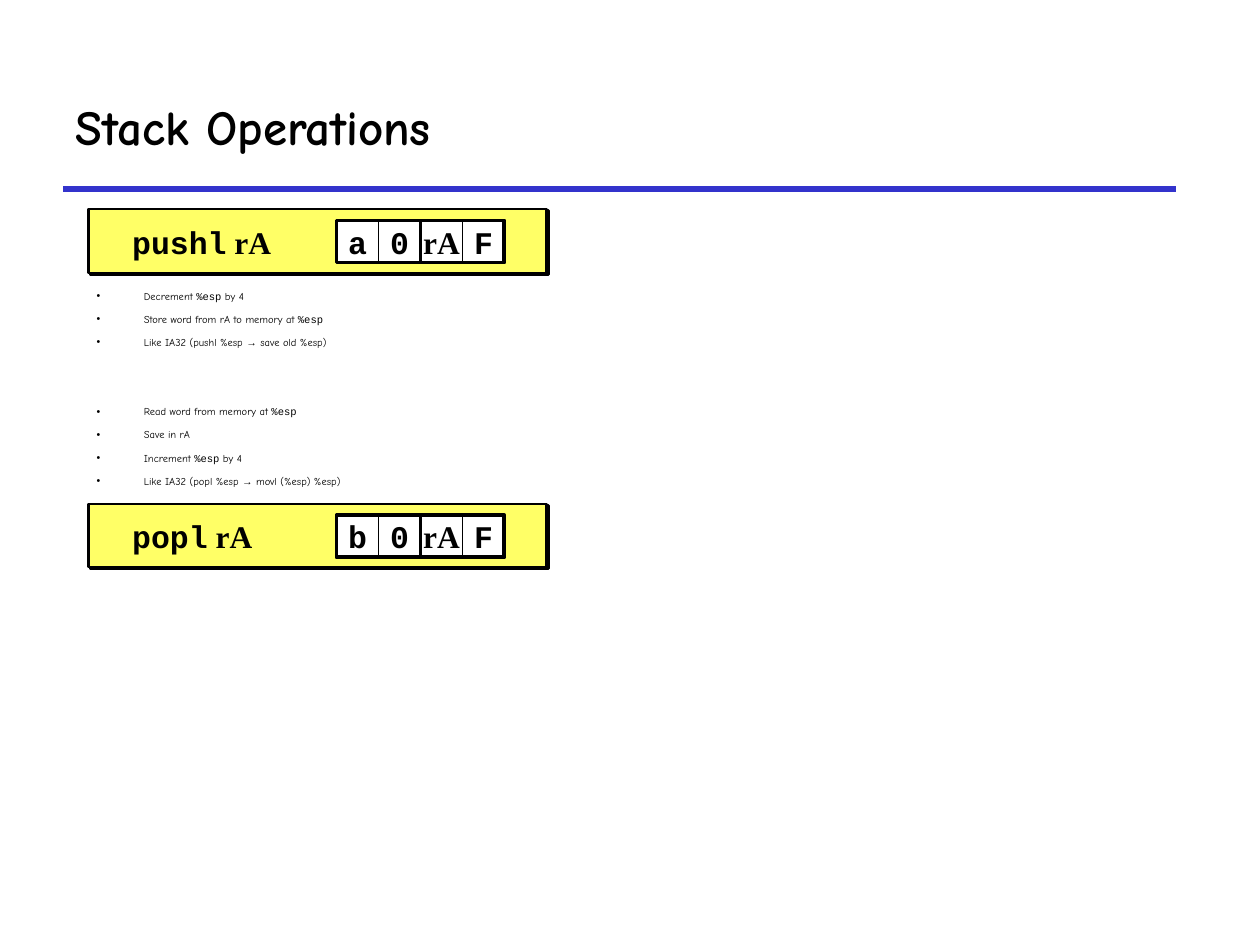
"""Build the slide on the stack operations pushl and popl."""
from dataclasses import dataclass
from typing import Any

import lxml.etree
import pptx
import pptx.dml.color
import pptx.enum.shapes
import pptx.enum.text
import pptx.oxml.ns
import pptx.util

Pt = pptx.util.Pt
qn = pptx.oxml.ns.qn
RECT = pptx.enum.shapes.MSO_SHAPE.RECTANGLE
ALIGN = pptx.enum.text.PP_ALIGN
MIDDLE = pptx.enum.text.MSO_ANCHOR.MIDDLE
BLACK = pptx.dml.color.RGBColor(0x00, 0x00, 0x00)
WHITE = pptx.dml.color.RGBColor(0xFF, 0xFF, 0xFF)
YELLOW = pptx.dml.color.RGBColor(0xFF, 0xFF, 0x66)
BLUE = pptx.dml.color.RGBColor(0x33, 0x33, 0xCC)
COMIC, CODE, SERIF, ARIAL = "Comic Neue", "Courier New", "Times New Roman", "Arial"
CELL = 24
Run = tuple[str, str]


@dataclass
class Code:
    """One instruction with its byte cells."""

    top: float
    height: float
    name: str
    cells: list[Run]


@dataclass
class Item:
    """One bullet line."""

    runs: list[Run]
    before: float = 6


CODES = [
    Code(119.5, 36.5, "pushl", [("a", CODE), ("0", CODE), ("rA", SERIF), ("F", CODE)]),
    Code(288, 36, "popl", [("b", CODE), ("0", CODE), ("rA", SERIF), ("F", CODE)]),
]
ITEMS = [
    Item([("Decrement ", COMIC), ("%esp", CODE), (" by 4", COMIC)], 0),
    Item([("Store word from rA to memory at ", COMIC), ("%esp", CODE)]),
    Item([("Like IA32 (pushl %esp ", COMIC), ("→", ARIAL), (" save old %esp)", COMIC)]),
    Item([("Read word from memory at ", COMIC), ("%esp", CODE)], 32.4),
    Item([("Save in rA", COMIC)]),
    Item([("Increment ", COMIC), ("%esp", CODE), (" by 4", COMIC)]),
    Item([("Like IA32 (popl %esp ", COMIC), ("→", ARIAL), (" movl (%esp) %esp)", COMIC)]),
]


def apply(obj: Any, form: dict[str, Any]) -> None:
    """Set each format value on the object."""
    for key, val in form.items():
        setattr(obj, key, val)


def place(shape: Any, left: float, top: float, width: float, height: float) -> None:
    """Move and size a shape in points."""
    apply(shape, {"left": Pt(left), "top": Pt(top), "width": Pt(width), "height": Pt(height)})


def write(para: Any, runs: list[Run], size: float, bold: bool) -> None:
    """Add the runs to a paragraph."""
    for text, face in runs:
        run = para.add_run()
        run.text = text
        apply(run.font, {"name": face, "size": Pt(size), "bold": bold})
        run.font.color.rgb = BLACK


def label(shape: Any, runs: list[Run], align: Any) -> None:
    """Write one bold line in the middle of a shape's height."""
    frame = shape.text_frame
    apply(frame, {"word_wrap": False, "vertical_anchor": MIDDLE})
    frame.paragraphs[0].alignment = align
    write(frame.paragraphs[0], runs, 18, True)


def box(group: Any, left: float, top: float, width: float, height: float,
        line: float, fill: Any = None) -> Any:
    """Draw a black-edged rectangle."""
    shape = group.shapes.add_shape(RECT, Pt(left), Pt(top), Pt(width), Pt(height))
    shape.shadow.inherit = False
    if fill is None:
        shape.fill.background()
    else:
        shape.fill.solid()
        shape.fill.fore_color.rgb = fill
    shape.line.color.rgb = BLACK
    shape.line.width = Pt(line)
    return shape


def shade(shape: Any) -> None:
    """Give a shape a hard shadow to the lower right."""
    effects = shape.element.spPr.find(qn("a:effectLst"))
    cast = lxml.etree.SubElement(effects, qn("a:outerShdw"), blurRad="0",
                                 dist=str(int(Pt(1.4))), dir="2700000",
                                 algn="ctr", rotWithShape="0")
    lxml.etree.SubElement(cast, qn("a:srgbClr"), val=str(BLACK))


def draw(slide: Any, code: Code) -> None:
    """Draw one instruction bar."""
    group = slide.shapes.add_group_shape()
    shade(box(group, 50.4, code.top, 262, code.height, 1.5, YELLOW))
    top = code.top + 6.5
    text = group.shapes.add_textbox(Pt(68.4), Pt(top), Pt(150.5), Pt(CELL))
    label(text, [(code.name, CODE), (" rA", SERIF)], ALIGN.LEFT)
    for num, cell in enumerate(code.cells):
        left = 192.3 + num * CELL
        label(box(group, left, top, CELL, CELL, 0.5, WHITE), [cell], ALIGN.CENTER)
        if num % 2:
            box(group, left - CELL, top, 2 * CELL, CELL, 2.25)


def bullet(para: Any, item: Item) -> None:
    """Write one bullet line."""
    props = para._p.get_or_add_pPr()
    apply(para, {"space_before": Pt(item.before), "alignment": ALIGN.LEFT})
    props.set("marL", str(int(Pt(27))))
    props.set("indent", str(int(Pt(-27))))
    tint = lxml.etree.SubElement(props, qn("a:buClr"))
    lxml.etree.SubElement(tint, qn("a:srgbClr"), val=str(BLACK))
    lxml.etree.SubElement(props, qn("a:buChar"), char="•")
    write(para, item.runs, 6, False)


def main() -> None:
    """Build and save the slide."""
    deck = pptx.Presentation()
    apply(deck, {"slide_width": Pt(720), "slide_height": Pt(540)})
    slide = deck.slides.add_slide(deck.slide_layouts[1])
    rule = slide.shapes.add_connector(pptx.enum.shapes.MSO_CONNECTOR.STRAIGHT,
                                      Pt(36), Pt(108), Pt(672), Pt(108))
    rule.line.color.rgb = BLUE
    rule.line.width = Pt(3)
    lxml.etree.SubElement(rule.element.spPr, qn("a:effectLst"))

    title, body = slide.placeholders
    still = pptx.enum.text.MSO_AUTO_SIZE.NONE
    place(title, 36, 36, 636, 72)
    apply(title.text_frame, {"vertical_anchor": MIDDLE, "auto_size": still})
    title.text_frame.paragraphs[0].alignment = ALIGN.LEFT
    write(title.text_frame.paragraphs[0], [("Stack Operations", COMIC)], 28, True)

    place(body, 48, 162, 607, 122.5)
    frame = body.text_frame
    frame.auto_size = still
    for num, item in enumerate(ITEMS):
        bullet(frame.add_paragraph() if num else frame.paragraphs[0], item)
    for code in CODES:
        draw(slide, code)
    deck.save("out.pptx")


if __name__ == "__main__":
    main()
